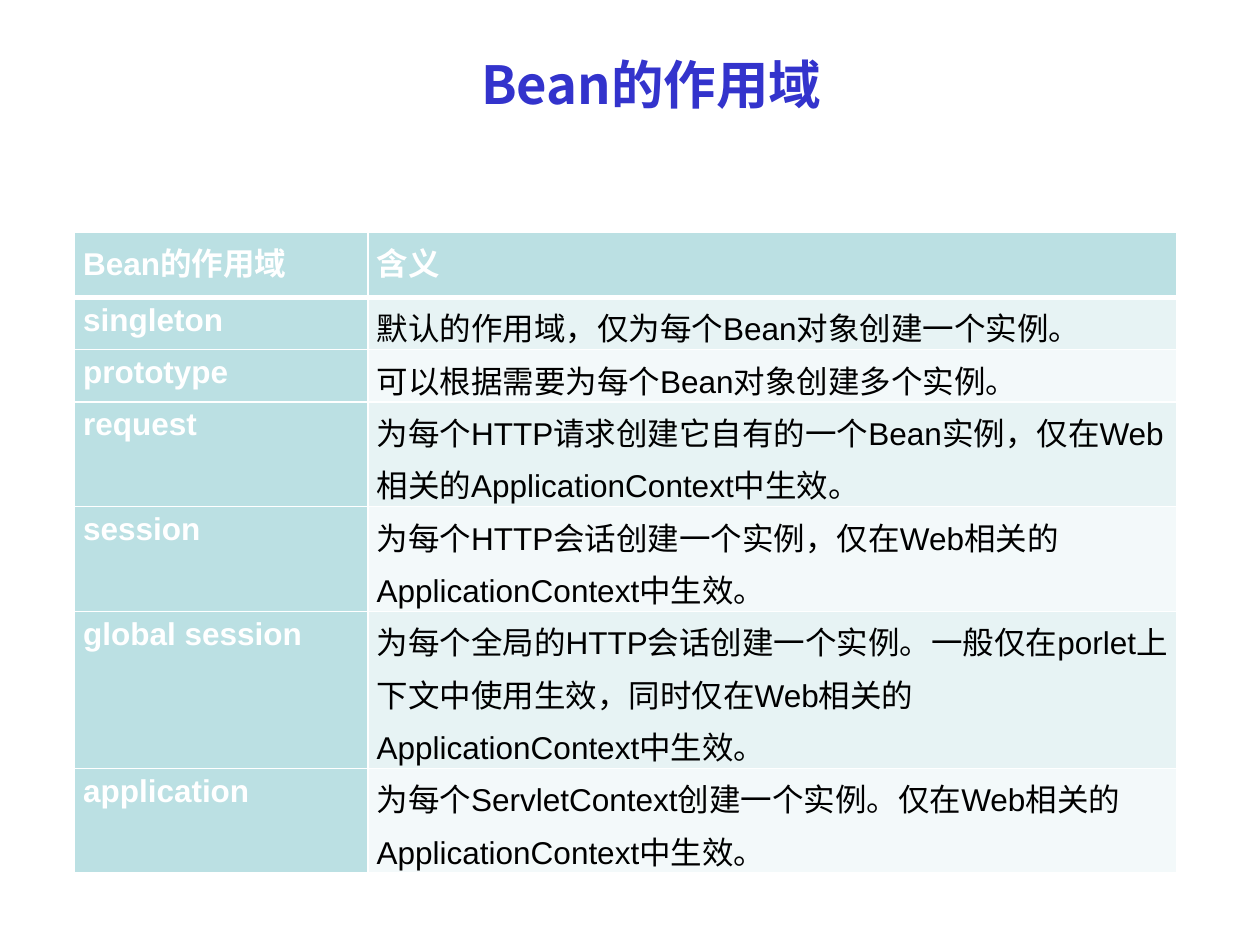
from dataclasses import dataclass

from lxml.etree import SubElement
from pptx import Presentation
from pptx.dml.color import RGBColor
from pptx.enum.text import MSO_ANCHOR, PP_ALIGN
from pptx.oxml.ns import qn
from pptx.util import Inches, Pt


@dataclass(frozen=True)
class Theme:
    title: str = "3333CC"
    accent: str = "BBE0E3"
    bands: tuple = ("E7F3F4", "F3F9FA")
    light: str = "FFFFFF"
    dark: str = "000000"
    title_size: int = 30
    body_size: int = 18
    chinese_font: str = "Noto Sans CJK SC"
    latin_font: str = "Arial"
    line_spacing: float = 1.15
    rule: int = 1
    header_rule: int = 3


THEME = Theme()

HEADINGS = ("Bean的作用域", "含义")
SCOPES = [
    ("singleton", "默认的作用域，仅为每个Bean对象创建一个实例。", 1),
    ("prototype", "可以根据需要为每个Bean对象创建多个实例。", 1),
    ("request", "为每个HTTP请求创建它自有的一个Bean实例，仅在Web相关的ApplicationContext中生效。", 2),
    ("session", "为每个HTTP会话创建一个实例，仅在Web相关的ApplicationContext中生效。", 2),
    ("global session", "为每个全局的HTTP会话创建一个实例。一般仅在porlet上下文中使用生效，同时仅在Web相关的ApplicationContext中生效。", 3),
    ("application", "为每个ServletContext创建一个实例。仅在Web相关的ApplicationContext中生效。", 2),
]


def write_text(frame, text, *, size, color, font, bold=False, align=None, spacing=None):
    paragraph = frame.paragraphs[0]
    paragraph.alignment = align
    paragraph.line_spacing = spacing
    run = paragraph.add_run()
    run.text = text
    run.font.size = Pt(size)
    run.font.bold = bold
    run.font.name = font
    run.font.color.rgb = RGBColor.from_string(color)
    SubElement(run.font._element, qn("a:ea"), typeface=THEME.chinese_font)


def draw_borders(cell, top, bottom):
    properties = cell._tc.get_or_add_tcPr()
    widths = {"L": THEME.rule, "R": THEME.rule, "T": top, "B": bottom}
    for side, width in widths.items():
        line = SubElement(properties, qn(f"a:ln{side}"), w=str(Pt(width)))
        fill = SubElement(line, qn("a:solidFill"))
        SubElement(fill, qn("a:srgbClr"), val=THEME.light)


def add_title(slide, text, left, top, width, height):
    title = slide.shapes.add_textbox(left, top, width, height)
    frame = title.text_frame
    frame.word_wrap = True
    frame.vertical_anchor = MSO_ANCHOR.MIDDLE
    write_text(frame, text, size=THEME.title_size, color=THEME.title,
               font=THEME.chinese_font, bold=True, align=PP_ALIGN.CENTER)


def fill_cell(cell, text, row, column):
    is_heading = row == 0 or column == 0
    cell.margin_left = cell.margin_right = Inches(0.07)
    cell.margin_top = cell.margin_bottom = 0
    draw_borders(cell,
                 top=THEME.header_rule if row == 1 else THEME.rule,
                 bottom=THEME.header_rule if row == 0 else THEME.rule)
    cell.fill.solid()
    background = THEME.accent if is_heading else THEME.bands[(row - 1) % 2]
    cell.fill.fore_color.rgb = RGBColor.from_string(background)
    write_text(cell.text_frame, text, size=THEME.body_size,
               color=THEME.light if is_heading else THEME.dark,
               font=THEME.latin_font, bold=is_heading,
               align=PP_ALIGN.JUSTIFY if column == 0 else PP_ALIGN.LEFT,
               spacing=THEME.line_spacing)


def add_scope_table(slide, headings, scopes, left, top, width, height):
    table = slide.shapes.add_table(len(scopes) + 1, 2, left, top, width, height).table
    name_width = Inches(2.33)
    table.columns[0].width = name_width
    table.columns[1].width = width - name_width

    header_height = Inches(0.52)
    line_height = (height - header_height) // sum(lines for _, _, lines in scopes)
    table.rows[0].height = header_height
    for column, heading in enumerate(headings):
        fill_cell(table.cell(0, column), heading, 0, column)
    for row, (name, meaning, lines) in enumerate(scopes, start=1):
        table.rows[row].height = line_height * lines
        for column, text in enumerate((name, meaning)):
            fill_cell(table.cell(row, column), text, row, column)


def main():
    presentation = Presentation()
    presentation.slide_width = Inches(10)
    presentation.slide_height = Inches(7.5)
    slide = presentation.slides.add_slide(presentation.slide_layouts[6])
    add_title(slide, HEADINGS[0], Inches(0.67), Inches(0.23), Inches(9), Inches(0.87))
    add_scope_table(slide, HEADINGS, SCOPES,
                    Inches(0.59), Inches(1.84), Inches(8.75), Inches(5.09))
    presentation.save("out.pptx")


if __name__ == "__main__":
    main()
